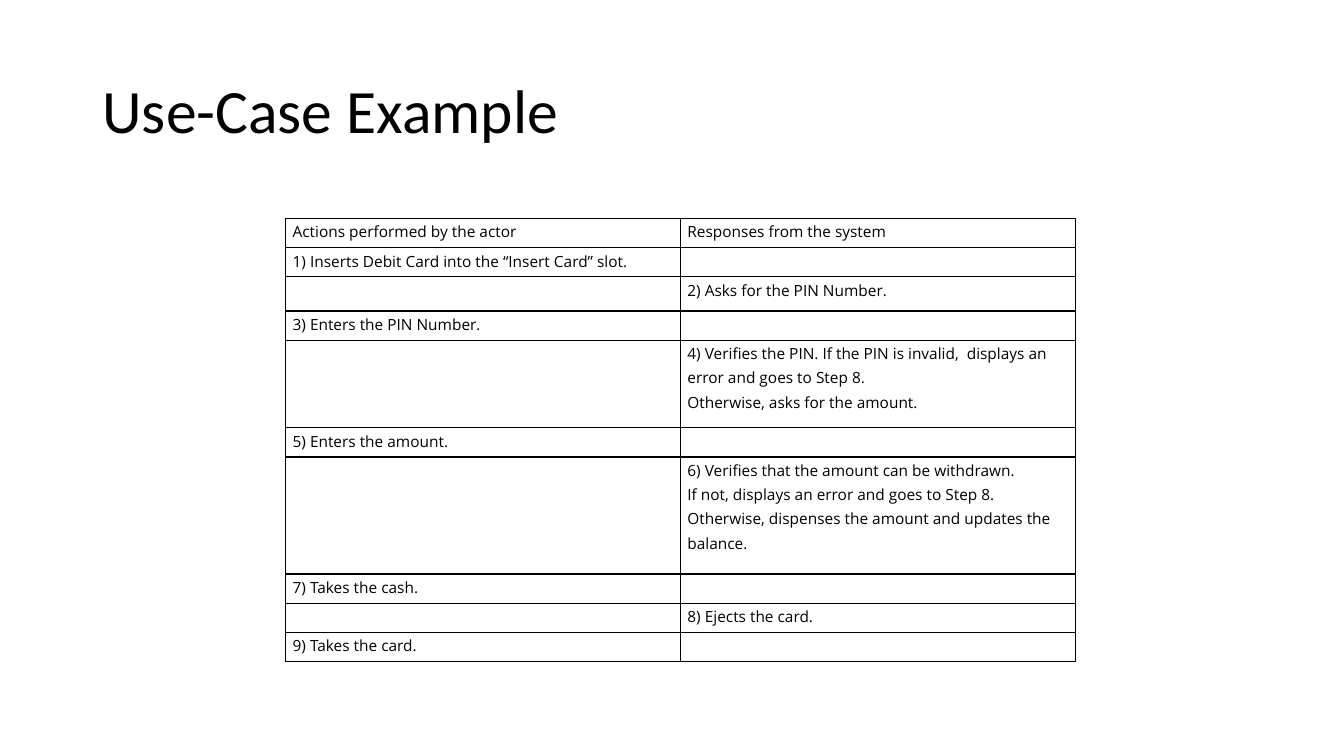
from typing import NamedTuple

from lxml import etree
from pptx import Presentation
from pptx import util as u
from pptx.dml.color import RGBColor
from pptx.enum import text
from pptx.oxml import ns

BLACK = RGBColor(0, 0, 0)
COLS, ROWS = 80, 45
UNIT = u.Inches(7.5) // ROWS
LINE = 1.74


class Step(NamedTuple):
    actor: str = ""
    system: str = ""
    lines: float = 1


STEPS = [
    Step("Actions performed by the actor", "Responses from the system"),
    Step("1) Inserts Debit Card into the “Insert Card” slot."),
    Step(system="2) Asks for the PIN Number.", lines=1.17),
    Step("3) Enters the PIN Number."),
    Step(system="4) Verifies the PIN. If the PIN is invalid,  displays an error and goes to Step 8.\n"
                "Otherwise, asks for the amount.", lines=3),
    Step("5) Enters the amount."),
    Step(system="6) Verifies that the amount can be withdrawn.\n"
                "If not, displays an error and goes to Step 8.\n"
                "Otherwise, dispenses the amount and updates the balance.", lines=4),
    Step("7) Takes the cash."),
    Step(system="8) Ejects the card."),
    Step("9) Takes the card."),
]


def grid(count: float) -> u.Emu:
    return u.Emu(round(count * UNIT))


def write(frame, words: str, *, font: str, size: float, space: float) -> None:
    frame.text = words
    for para in frame.paragraphs:
        para.alignment = text.PP_ALIGN.LEFT
        para.line_spacing = space
        for run in para.runs:
            run.font.name = font
            run.font.size = u.Pt(size)
            run.font.color.rgb = BLACK
        if not para.runs:
            etree.SubElement(para._p, ns.qn("a:endParaRPr"), sz=str(size * 100))


def edge(cell, width: float = 1) -> None:
    props = cell._tc.get_or_add_tcPr()
    for side in ("lnL", "lnR", "lnT", "lnB"):
        line = etree.SubElement(props, ns.qn(f"a:{side}"), w=str(u.Pt(width)))
        fill = etree.SubElement(line, ns.qn("a:solidFill"))
        etree.SubElement(fill, ns.qn("a:srgbClr"), val=str(BLACK))


def put(cell, words: str) -> None:
    cell.margin_left = cell.margin_right = u.Inches(0.07)
    cell.margin_top = cell.margin_bottom = 0
    edge(cell)
    cell.fill.background()
    write(cell.text_frame, words, font="Open Sans", size=11, space=1.15)


def head(slide, words: str) -> None:
    title = slide.shapes.title
    title.left, title.top = grid(5.5), grid(2.4)
    title.width, title.height = grid(69), grid(8.7)
    frame = title.text_frame
    frame.vertical_anchor = text.MSO_ANCHOR.MIDDLE
    write(frame, words, font="Calibri", size=44, space=0.9)


def draw(slide, steps: list[Step]) -> None:
    tall = sum(step.lines for step in steps) * LINE
    table = slide.shapes.add_table(
        len(steps), 2, grid(17), grid(13), grid(47), grid(tall)).table
    table.first_row = table.horz_banding = False
    for col in table.columns:
        col.width = grid(23.5)
    for row, step in zip(table.rows, steps):
        row.height = grid(step.lines * LINE)
        for cell, words in zip(row.cells, (step.actor, step.system)):
            put(cell, words)


deck = Presentation()
deck.slide_width, deck.slide_height = grid(COLS), grid(ROWS)
page = deck.slides.add_slide(deck.slide_layouts[5])
head(page, "Use-Case Example")
draw(page, STEPS)
deck.save("out.pptx")
